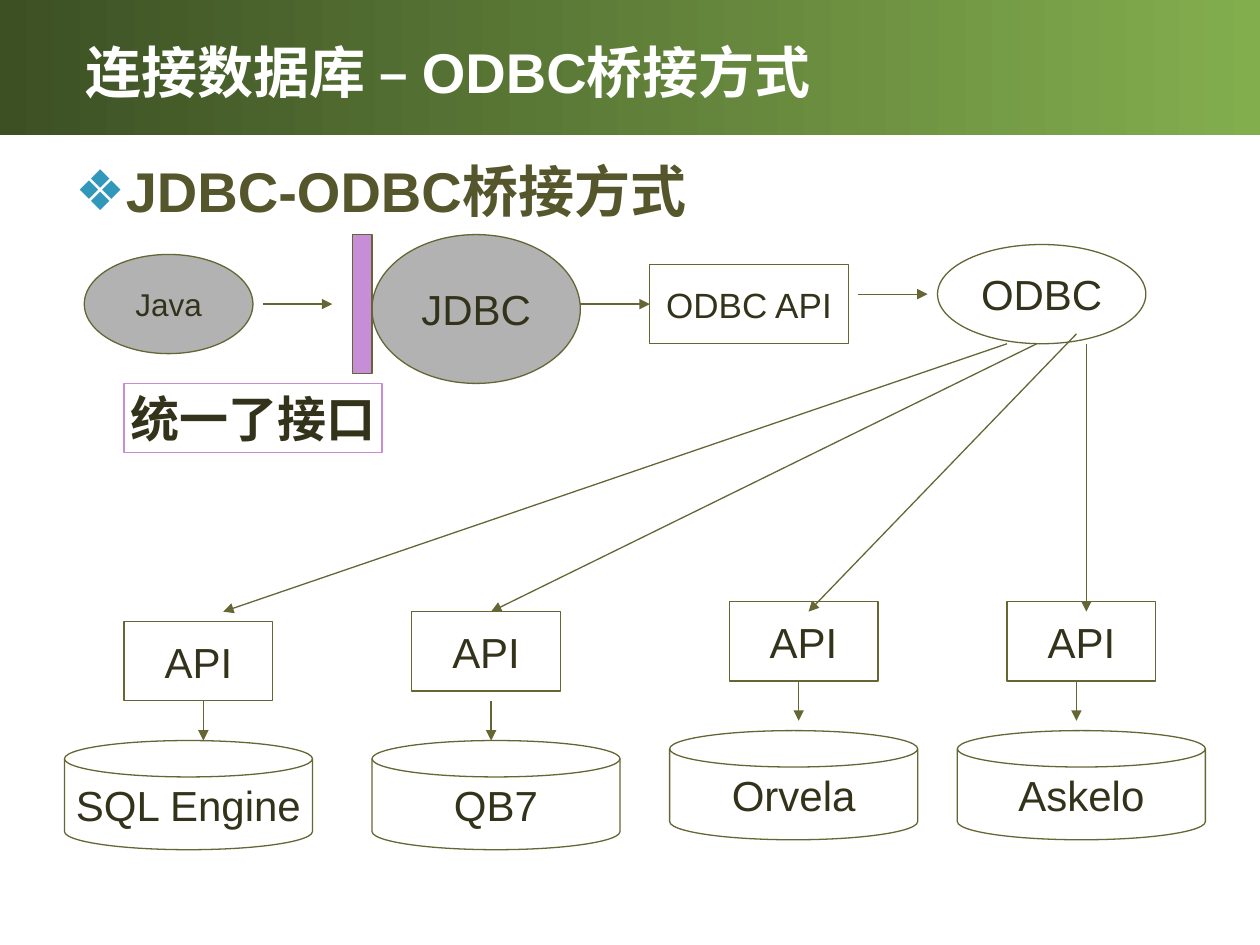
from dataclasses import dataclass

from lxml.etree import SubElement
from pptx import Presentation
from pptx.dml.color import RGBColor as Rgb
from pptx.enum.shapes import MSO_CONNECTOR as Link, MSO_SHAPE as Kind
from pptx.enum.text import MSO_ANCHOR as Anchor, MSO_AUTO_SIZE as Fit, PP_ALIGN as Align
from pptx.oxml.ns import qn
from pptx.util import Cm, Pt


@dataclass(frozen=True)
class Theme:
    """Colours, font and type sizes of the slide."""
    font: str = "Arial"
    dark: str = "3C5024"
    light: str = "83AE4E"
    white: str = "FFFFFF"
    olive: str = "56562C"
    text: str = "33331B"
    edge: str = "666635"
    grey: str = "B2B2B2"
    pink: str = "C78DD7"
    blue: str = "3197BB"
    head: int = 32
    label: int = 28
    node: int = 24
    mid: int = 20
    small: int = 18
    thin: float = 0.75


T = Theme()


def put(item, **vals):
    """Set each given value on the item."""
    for key, val in vals.items():
        setattr(item, key, val)


def place(item, left, top, width, height):
    """Move and size the item, in centimetres."""
    put(item, left=Cm(left), top=Cm(top), width=Cm(width), height=Cm(height))


def write(item, text, size, color, bold=False, wrap=True, **para):
    """Write one formatted paragraph and return it."""
    put(item.text_frame, text=text, auto_size=Fit.NONE, word_wrap=wrap)
    line = item.text_frame.paragraphs[0]
    put(line, **para)
    font = line.runs[0].font
    put(font, name=T.font, size=Pt(size), bold=bold)
    font.color.rgb = Rgb.from_string(color)
    return line


def hang(line):
    """Give the paragraph a hanging indent and return its properties."""
    props = line._p.get_or_add_pPr()
    for key, val in (("marL", 0.95), ("indent", -0.95)):
        props.set(key, str(Cm(val)))
    return props


def node(slide, kind, box, text="", size=T.node, fill=None, edge=T.edge, bold=False):
    """Add an outlined shape with centred text."""
    item = slide.shapes.add_shape(kind, *map(Cm, box))
    item.shadow.inherit = False
    if fill:
        item.fill.solid()
        item.fill.fore_color.rgb = Rgb.from_string(fill)
    else:
        item.fill.background()
    item.line.color.rgb = Rgb.from_string(edge)
    item.line.width = Pt(T.thin)
    if text:
        item.text_frame.vertical_anchor = Anchor.MIDDLE
        write(item, text, size, T.text, bold, wrap=False, alignment=Align.CENTER)


def arrow(slide, *ends):
    """Add a thin arrow between two points."""
    item = slide.shapes.add_connector(Link.STRAIGHT, *map(Cm, ends))
    item.line.color.rgb = Rgb.from_string(T.edge)
    item.line.width = Pt(T.thin)
    SubElement(item.line._get_or_add_ln(), qn("a:tailEnd"), type="triangle")
    SubElement(item._element.spPr, qn("a:effectLst"))


def header(slide, box, text):
    """Draw the gradient band with the title on it."""
    x, y, w, h = box
    band = slide.shapes.add_shape(Kind.RECTANGLE, *map(Cm, box))
    band.shadow.inherit = False
    band.line.fill.background()
    band.fill.gradient()
    band.fill.gradient_angle = 0
    for stop, color in zip(band.fill.gradient_stops, (T.dark, T.light)):
        stop.color.rgb = Rgb.from_string(color)
    slide.shapes._spTree.insert(2, band._element)
    title = slide.shapes.title
    place(title, x + 1.47, y + 0.64, w - 7, 1.57)
    title.text_frame.vertical_anchor = Anchor.MIDDLE
    hang(write(title, text, T.head, T.white, True, alignment=Align.LEFT))


def topic(slide, box, text):
    """Fill the body with its bulleted line."""
    body = slide.placeholders[1]
    place(body, *box)
    line = write(body, text, T.head, T.olive, True, line_spacing=0.9, space_before=Pt(6.4))
    props = hang(line)
    SubElement(SubElement(props, qn("a:buClr")), qn("a:srgbClr"), val=T.blue)
    SubElement(props, qn("a:buFont"), typeface=T.font)
    SubElement(props, qn("a:buChar"), char="❖")


def chain(slide, x, y):
    """Draw the row from Java to ODBC with the interface label."""
    oval, rect = Kind.OVAL, Kind.RECTANGLE
    node(slide, oval, (x, y + 0.4, 3.4, 2), "Java", T.small, T.grey)
    node(slide, oval, (x + 5.8, y, 4.2, 3), "JDBC", fill=T.grey)
    node(slide, rect, (x + 5.4, y, 0.4, 2.8), fill=T.pink)
    node(slide, rect, (x + 11.4, y + 0.6, 4, 1.6), "ODBC API", T.mid)
    node(slide, oval, (x + 17.2, y + 0.2, 4.2, 2), "ODBC")
    node(slide, rect, (x + 0.8, y + 3, 5.2, 1.4), "统一了接口", T.label, edge=T.pink, bold=True)
    for dx, dy in ((3.6, 1.4), (10, 1.4), (15.6, 1.2)):
        arrow(slide, x + dx, y + dy, x + dx + 1.4, y + dy)


def store(slide, x, y, name, api, rise, stem, gap):
    """Draw an API box, its arrow and the database below."""
    node(slide, Kind.RECTANGLE, (x + api, y - rise, 3, 1.6), "API")
    arrow(slide, x + stem, y - gap, x + stem, y - gap + 0.8)
    node(slide, Kind.FLOWCHART_MAGNETIC_DISK, (x, y, 5, 2.2), name)


def rays(slide, x, y):
    """Fan arrows out from ODBC to the API boxes."""
    for dx, dy, end in ((1.4, 2, -14.4), (2, 2, -9), (2.8, 1.8, -2.6), (3, 2, 3)):
        arrow(slide, x + dx, y + dy, x + end, y + 7.4)


def main():
    """Build and save the slide."""
    deck = Presentation()
    put(deck, slide_width=Cm(25.4), slide_height=Cm(19.05))
    slide = deck.slides.add_slide(deck.slide_layouts[1])
    header(slide, (0, 0, 25.4, 2.72), "连接数据库 – ODBC桥接方式")
    topic(slide, (1.27, 3.18, 22.86, 14.6), "JDBC-ODBC桥接方式")
    chain(slide, 1.7, 4.73)
    for spec in (
        (1.3, 14.93, "SQL Engine", 1.2, 2.4, 2.8, 0.8),
        (7.5, 14.93, "QB7", 0.8, 2.6, 2.4, 0.8),
        (13.5, 14.73, "Orvela", 1.2, 2.6, 2.6, 1),
        (19.3, 14.73, "Askelo", 1, 2.6, 2.4, 1),
    ):
        store(slide, *spec)
    rays(slide, 18.9, 4.93)
    deck.save("out.pptx")


if __name__ == "__main__":
    main()
